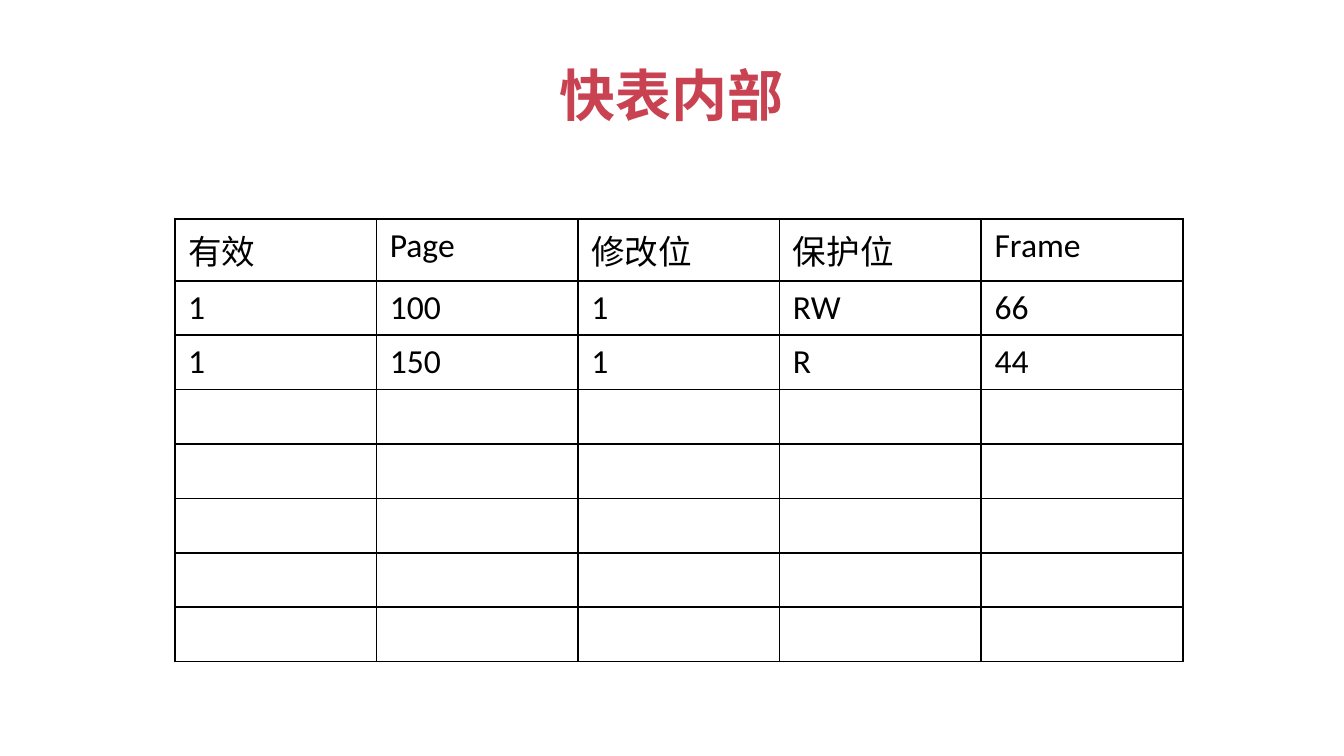
"""Build a slide that shows the inside of a translation lookaside buffer."""
from dataclasses import dataclass

from lxml import etree
from pptx import Presentation
from pptx.dml.color import RGBColor
from pptx.enum.text import MSO_ANCHOR, PP_ALIGN
from pptx.oxml.ns import qn
from pptx.slide import Slide
from pptx.table import _Cell
from pptx.text.text import _Run
from pptx.util import Inches, Pt

MIDDLE = MSO_ANCHOR.MIDDLE
CENTER = PP_ALIGN.CENTER
RED = RGBColor(0xC9, 0x42, 0x51)
BLACK = RGBColor(0, 0, 0)
CJK_FONT = "Noto Sans CJK SC"
SLIDE_WIDTH = Inches(10)
SLIDE_HEIGHT = SLIDE_WIDTH * 9 // 16
BORDER_WIDTH = Pt(1)
BORDER_SIDES = ("lnL", "lnR", "lnT", "lnB")

TITLE_FORMAT = {"name": CJK_FONT, "size": Pt(30), "bold": True}
CELL_FORMAT = {"name": "Calibri", "size": Pt(18), "bold": False}


@dataclass(frozen=True)
class Grid:
    """Place and size of a table, in inches, with its columns and rows."""

    left: float
    top: float
    width: float
    height: float
    header_height: float
    columns: int
    rows: int


BUFFER_GRID = Grid(1.3, 1.63, 7.5, 3.24, header_height=0.46, columns=5, rows=8)
BUFFER_ENTRIES = (
    ("有效", "Page", "修改位", "保护位", "Frame"),
    ("1", "100", "1", "RW", "66"),
    ("1", "150", "1", "R", "44"),
)


def style_run(run: _Run, formats: dict, color: RGBColor) -> None:
    """Apply font values, a colour and the East Asian font to a run."""
    for attribute, value in formats.items():
        setattr(run.font, attribute, value)
    run.font.color.rgb = color
    etree.SubElement(run.font._element, qn("a:ea"), typeface=CJK_FONT)


def draw_title(slide: Slide, title: str) -> None:
    """Draw the centred slide title."""
    box = slide.shapes.add_textbox(
        int(SLIDE_WIDTH * 0.05), Inches(0.23), int(SLIDE_WIDTH * 0.9), Inches(0.94)
    )
    frame = box.text_frame
    frame.word_wrap = True
    frame.vertical_anchor = MIDDLE
    paragraph = frame.paragraphs[0]
    paragraph.alignment = CENTER
    run = paragraph.add_run()
    run.text = title
    style_run(run, TITLE_FORMAT, RED)


def outline_cell(cell: _Cell) -> None:
    """Give a cell a border on every side and no fill."""
    properties = cell._tc.get_or_add_tcPr()
    for side in BORDER_SIDES:
        line = etree.SubElement(properties, qn(f"a:{side}"), w=str(BORDER_WIDTH))
        fill = etree.SubElement(line, qn("a:solidFill"))
        etree.SubElement(fill, qn("a:srgbClr"), val=str(BLACK))
    cell.fill.background()


def draw_table(slide: Slide, grid: Grid, entries: tuple[tuple[str, ...], ...]) -> None:
    """Draw the outlined table and write its entries from the top row down."""
    table = slide.shapes.add_table(
        grid.rows,
        grid.columns,
        Inches(grid.left),
        Inches(grid.top),
        Inches(grid.width),
        Inches(grid.height),
    ).table
    table.first_row = False
    table.horz_banding = False
    table.rows[0].height = Inches(grid.header_height)
    for cell in table.iter_cells():
        outline_cell(cell)
    for row, entry in enumerate(entries):
        for column, value in enumerate(entry):
            run = table.cell(row, column).text_frame.paragraphs[0].add_run()
            run.text = value
            style_run(run, CELL_FORMAT, BLACK)


def main() -> None:
    """Build and save the presentation."""
    presentation = Presentation()
    presentation.slide_width = SLIDE_WIDTH
    presentation.slide_height = SLIDE_HEIGHT
    slide = presentation.slides.add_slide(presentation.slide_layouts[6])
    draw_title(slide, "快表内部")
    draw_table(slide, BUFFER_GRID, BUFFER_ENTRIES)
    presentation.save("out.pptx")


if __name__ == "__main__":
    main()
